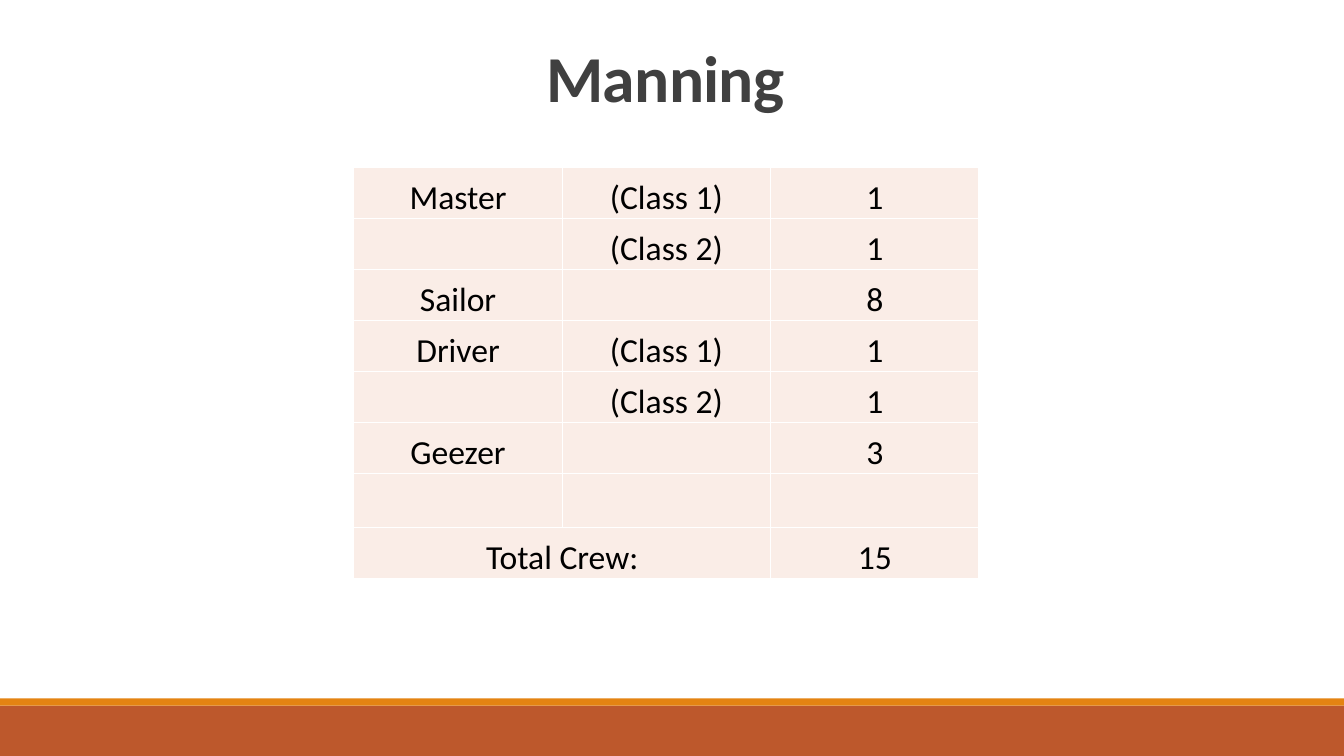
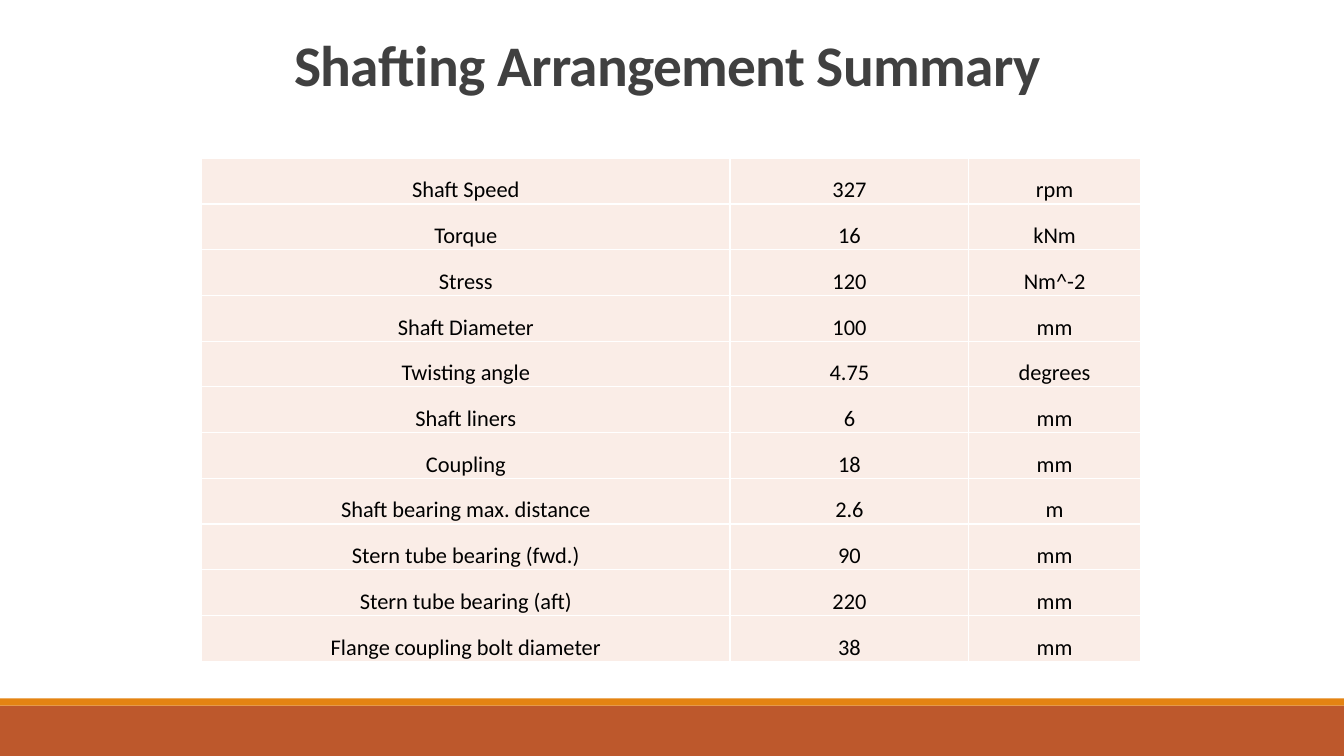
from dataclasses import dataclass

from lxml import etree
from pptx import Presentation
from pptx import util as u
from pptx.dml.color import RGBColor
from pptx.enum import shapes, text
from pptx.oxml.ns import qn

WIDTH, HEIGHT = 13.33, 7.5
FONT = "Calibri"
COLORS = {
    "base": "BD582C",
    "accent": "E48312",
    "title": "404040",
    "cell": "FAEDE7",
    "ink": "000000",
    "border": "FFFFFF",
}


@dataclass(frozen=True)
class Band:
    """A full-width footer band, as shares of the slide height."""
    top: float
    height: float
    color: str


@dataclass(frozen=True)
class Box:
    """A rectangle in inches."""
    left: float
    top: float
    width: float
    height: float


@dataclass(frozen=True)
class Page:
    """A titled slide with one table; column and row weights share its box."""
    title: str
    title_box: Box
    title_size: float
    grid_box: Box
    column_weights: tuple[float, ...]
    row_weights: tuple[float, ...]
    body_size: float
    rows: tuple[tuple[str, ...], ...]
    total_row: bool = False


BANDS = (
    Band(7 / HEIGHT, 0.5 / HEIGHT, "base"),
    Band(6.93 / HEIGHT, 0.07 / HEIGHT, "accent"),
)

PAGES = (
    Page(
        "Manning", Box(1.1, 0.44, 11, 1.59), 46.8,
        Box(3.51, 1.66, 6.2, 4.08), (1,) * 3, (1,) * 6 + (1.06, 1), 24,
        (
            ("Master", "(Class 1)", "1"),
            ("", "(Class 2)", "1"),
            ("Sailor", "", "8"),
            ("Driver", "(Class 1)", "1"),
            ("", "(Class 2)", "1"),
            ("Geezer", "", "3"),
            ("", "", ""),
            ("Total Crew:", "", "15"),
        ),
        total_row=True,
    ),
    Page(
        "Shafting Arrangement Summary", Box(0, 0.34, 13.24, 1.59), 41,
        Box(2, 1.57, 9.31, 4.99), (5.24, 2.37, 1.7), (1,) * 11, 16,
        (
            ("Shaft Speed", "327", "rpm"),
            ("Torque", "16", "kNm"),
            ("Stress", "120", "Nm^-2"),
            ("Shaft Diameter", "100", "mm"),
            ("Twisting angle", "4.75", "degrees"),
            ("Shaft liners", "6", "mm"),
            ("Coupling", "18", "mm"),
            ("Shaft bearing max. distance", "2.6", "m"),
            ("Stern tube bearing (fwd.)", "90", "mm"),
            ("Stern tube bearing (aft)", "220", "mm"),
            ("Flange coupling bolt diameter", "38", "mm"),
        ),
    ),
)


def rgb(name: str) -> RGBColor:
    """Look up a palette colour."""
    return RGBColor.from_string(COLORS[name])


def place(box: Box) -> tuple[u.Length, ...]:
    """Convert a box to left, top, width and height lengths."""
    return tuple(u.Inches(side) for side in (box.left, box.top, box.width, box.height))


def shares(total: float, weights: tuple[float, ...]) -> list[u.Length]:
    """Split a length in proportion to weights."""
    return [u.Inches(total * weight / sum(weights)) for weight in weights]


def style_paragraph(paragraph, size: float, color: str, bold: bool = False) -> None:
    """Centre a paragraph and set its font."""
    paragraph.alignment = text.PP_ALIGN.CENTER
    font = paragraph.font
    font.name, font.size, font.bold = FONT, u.Pt(size), bold
    font.color.rgb = rgb(color)


def draw_bands(slide) -> None:
    """Draw the shared footer bands."""
    for band in BANDS:
        box = Box(0, band.top * HEIGHT, WIDTH, band.height * HEIGHT)
        strip = slide.shapes.add_shape(shapes.MSO_SHAPE.RECTANGLE, *place(box))
        strip.shadow.inherit = False
        strip.fill.solid()
        strip.fill.fore_color.rgb = rgb(band.color)
        strip.line.fill.background()


def draw_title(slide, page: Page) -> None:
    """Draw the slide title with tight letter spacing."""
    frame = slide.shapes.add_textbox(*place(page.title_box)).text_frame
    frame.word_wrap = True
    heading = frame.paragraphs[0]
    heading.line_spacing = 0.85
    style_paragraph(heading, page.title_size, "title", bold=True)
    run = heading.add_run()
    run.text = page.title
    run._r.get_or_add_rPr().set("spc", "-50")


def style_cell(cell, size: float) -> None:
    """Set a cell's borders, fill, insets and font."""
    properties = cell._tc.get_or_add_tcPr()
    for side in ("lnL", "lnR", "lnT", "lnB"):
        border = etree.SubElement(properties, qn(f"a:{side}"), w=str(u.Pt(1)))
        paint = etree.SubElement(border, qn("a:solidFill"))
        etree.SubElement(paint, qn("a:srgbClr"), val=COLORS["border"])
    cell.fill.solid()
    cell.fill.fore_color.rgb = rgb("cell")
    cell.margin_left = cell.margin_right = cell.margin_top = u.Inches(0.01)
    cell.margin_bottom = 0
    cell.vertical_anchor = text.MSO_ANCHOR.BOTTOM
    style_paragraph(cell.text_frame.paragraphs[0], size, "ink")


def draw_grid(slide, page: Page) -> None:
    """Draw the page's table."""
    grid = slide.shapes.add_table(
        len(page.rows), len(page.column_weights), *place(page.grid_box)
    ).table
    grid.first_row = grid.horz_banding = False
    for column, width in zip(grid.columns, shares(page.grid_box.width, page.column_weights)):
        column.width = width
    for row, height in zip(grid.rows, shares(page.grid_box.height, page.row_weights)):
        row.height = height
    for row, entries in zip(grid.rows, page.rows):
        for cell, entry in zip(row.cells, entries):
            if entry:
                cell.text = entry
            style_cell(cell, page.body_size)
    if page.total_row:
        last = len(page.rows) - 1
        grid.cell(last, 0).merge(grid.cell(last, 1))


def main() -> None:
    """Build and save the presentation."""
    deck = Presentation()
    deck.slide_width, deck.slide_height = u.Inches(WIDTH), u.Inches(HEIGHT)
    for page in PAGES:
        slide = deck.slides.add_slide(deck.slide_layouts[6])
        draw_bands(slide)
        draw_title(slide, page)
        draw_grid(slide, page)
    deck.save("out.pptx")


if __name__ == "__main__":
    main()
